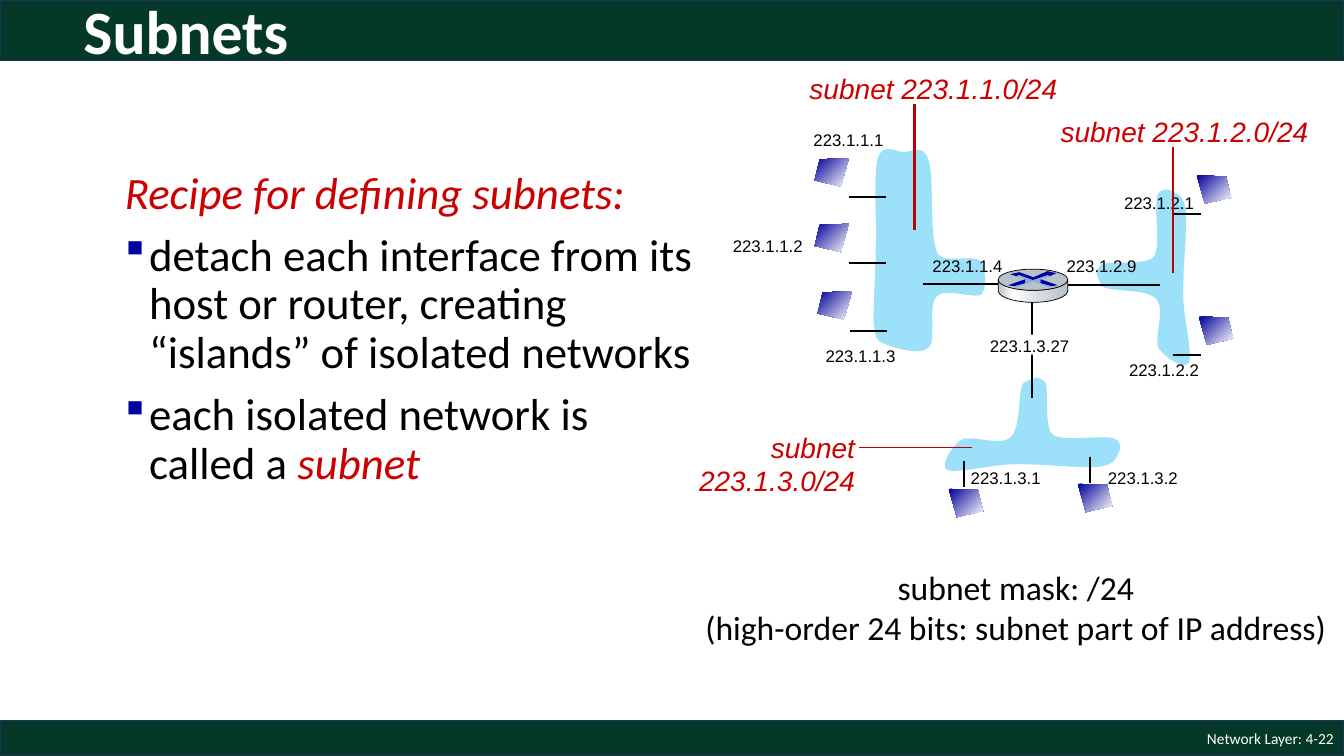
import pptx
import pptx.util
import pptx.dml.color
import pptx.enum.shapes
import pptx.enum.text
import pptx.oxml.ns
from lxml import etree

Inches, Pt = pptx.util.Inches, pptx.util.Pt
Align, Anchor = pptx.enum.text.PP_ALIGN, pptx.enum.text.MSO_ANCHOR
Shape = pptx.enum.shapes.MSO_SHAPE
qn = pptx.oxml.ns.qn

# Content
WIDTH, HEIGHT = 13.33, 7.5
COLORS = {"bar": "043927", "edge": "1E3256", "cloud": "9CE0FA", "red": "CC0000",
          "pointer": "C00000", "bullet": "0000A3", "host": "000099", "steel": "B8C2C9",
          "shine": "D6DCE0", "glyph": "8FAADC", "black": "000000", "white": "FFFFFF"}
TITLE = "Subnets"
FOOTER = "Network Layer: 4-22"
RECIPE = [  # bulleted, then runs as (text, emphasised)
    (False, [("Recipe for defining subnets:", True)]),
    (True, [("detach each interface from its host or router, creating "
             "“islands” of isolated networks", False)]),
    (True, [("each isolated network is called a ", False), ("subnet", True)]),
]
MASK_NOTE = ["subnet mask: /24", "(high-order 24 bits: subnet part of IP address)"]
ADDRESSES = [("223.1.1.1", 7.97, 1.24), ("223.1.1.2", 7.17, 2.29), ("223.1.1.3", 8.09, 3.38),
             ("223.1.1.4", 9.15, 2.49), ("223.1.2.9", 10.48, 2.49), ("223.1.2.2", 11.1, 3.52),
             ("223.1.2.1", 11.05, 1.86), ("223.1.3.2", 10.89, 4.59),
             ("223.1.3.1", 9.53, 4.59), ("223.1.3.27", 9.72, 3.28)]
SUBNETS = [  # lines, box, alignment, pointer, pointer width
    (["subnet", "223.1.3.0/24"], (6.82, 4.22, 1.76, 0.77), Align.RIGHT,
     (8.52, 4.44, 9.64, 4.44), 1.25),
    (["subnet 223.1.1.0/24"], (7.93, 0.66, 2.72, 0.44), Align.LEFT,
     (9.07, 1.03, 9.07, 2.28), 1.5),
    (["subnet 223.1.2.0/24"], (10.42, 1.09, 2.72, 0.44), Align.LEFT,
     (11.63, 1.46, 11.63, 2.71), 1.5),
]
LINKS = [(10.24, 2.99, 10.24, 3.95), (9.15, 2.82, 10.02, 2.82), (10.44, 2.83, 11.51, 2.83),
         (8.42, 1.95, 8.79, 1.95), (8.42, 2.61, 8.79, 2.61), (8.43, 3.28, 8.8, 3.28),
         (11.62, 2.12, 11.91, 2.12), (11.63, 3.52, 11.91, 3.52),
         (9.56, 4.57, 9.56, 4.83), (10.81, 4.53, 10.81, 4.79)]
PLATES = [(7.27, 2.37, 0.91, 0.2), (9.78, 3.32, 0.93, 0.2)]  # white, behind addresses

# Outlines: a step of two numbers is a corner, a step of six is a Bézier curve
LEFT_CLOUD = [
    (9.76, 2.66), (9.74, 2.47, 9.39, 2.64, 9.3, 2.52), (9.21, 2.34, 9.27, 1.76, 9.21, 1.59),
    (9.16, 1.42, 9.04, 1.51, 8.96, 1.51), (8.88, 1.5, 8.76, 1.42, 8.71, 1.56),
    (8.66, 1.69, 8.69, 2.13, 8.69, 2.31), (8.68, 2.49, 8.69, 2.54, 8.68, 2.65),
    (8.68, 2.76, 8.67, 2.86, 8.67, 2.96), (8.67, 3.06, 8.65, 3.17, 8.67, 3.24),
    (8.68, 3.32, 8.68, 3.38, 8.77, 3.41), (8.86, 3.45, 9.12, 3.53, 9.21, 3.45),
    (9.29, 3.38, 9.2, 3.03, 9.29, 2.94), (9.38, 2.85, 9.66, 2.97, 9.74, 2.92),
    (9.77, 2.84, 9.78, 2.85, 9.76, 2.66)]
RIGHT_CLOUD = [
    (10.93, 2.84), (11.02, 2.9, 11.36, 2.86, 11.46, 2.96), (11.57, 3.06, 11.44, 3.34, 11.49, 3.45),
    (11.55, 3.55, 11.75, 3.67, 11.79, 3.6), (11.83, 3.53, 11.75, 3.17, 11.74, 3.02),
    (11.73, 2.87, 11.74, 2.79, 11.74, 2.68), (11.75, 2.57, 11.75, 2.47, 11.76, 2.37),
    (11.76, 2.27, 11.77, 2.16, 11.76, 2.09), (11.75, 2.01, 11.72, 1.94, 11.67, 1.92),
    (11.63, 1.89, 11.52, 1.84, 11.48, 1.94), (11.44, 2.05, 11.52, 2.46, 11.44, 2.55),
    (11.37, 2.64, 10.98, 2.58, 10.91, 2.63), (10.87, 2.71, 10.85, 2.68, 10.93, 2.84)]
RIGHT_CENTER, BOTTOM_CENTER = (11.33, 2.75), (10.24, 4.2)
HOST = [(0, 0), (0.29, 0.01), (0.34, 0.22), (0.08, 0.28)]
HOST_WIDTH = 0.34
HOSTS = [(8.08, 1.57, True), (8.08, 2.22, True), (8.11, 2.89, True),  # left, top, mirrored
         (11.87, 1.74, False), (11.89, 3.14, False), (10.69, 4.8, False), (9.41, 4.85, False)]
ROUTER_SIDE = [
    (10.59, 2.78), (10.59, 2.89), (10.57, 2.97, 10.37, 3, 10.25, 3),
    (10.13, 3, 9.92, 2.97, 9.9, 2.89), (9.9, 2.78), (9.93, 2.85, 10.13, 2.88, 10.25, 2.88),
    (10.36, 2.88, 10.56, 2.86, 10.59, 2.78)]
ROUTER_TOP = (9.9, 2.67, 0.69, 0.21)
ROUTER_MARKS = [
    ("bullet", [(10.39, 2.69), (10.48, 2.71), (10.41, 2.74), (10.39, 2.73), (10.24, 2.78),
                (10.11, 2.73), (10.08, 2.74), (10.02, 2.72), (10.11, 2.7), (10.25, 2.75)]),
    ("bullet", [(10.32, 2.77), (10.49, 2.83), (10.43, 2.84), (10.32, 2.81)]),
    ("bullet", [(10.17, 2.77), (10.17, 2.81), (10.06, 2.84), (10, 2.83)]),
    ("glyph", [(10.08, 2.74), (10.11, 2.73), (10.25, 2.78), (10.39, 2.73), (10.42, 2.74),
               (10.32, 2.77), (10.32, 2.81), (10.43, 2.84), (10.4, 2.85), (10.25, 2.79),
               (10.09, 2.85), (10.06, 2.84), (10.17, 2.81), (10.17, 2.77)])]

deck = pptx.Presentation()
deck.slide_width, deck.slide_height = Inches(WIDTH), Inches(HEIGHT)
page = deck.slides.add_slide(deck.slide_layouts[6])


def color(name):
    return pptx.dml.color.RGBColor.from_string(COLORS[name])


def paint(shape, fill, edge=None, width=1):
    shape.shadow.inherit = False
    if fill:
        shape.fill.solid()
        shape.fill.fore_color.rgb = color(fill)
    if edge:
        shape.line.color.rgb = color(edge)
        shape.line.width = Pt(width)
    else:
        shape.line.fill.background()


def add_preset(kind, place, *style):
    paint(page.shapes.add_shape(kind, *map(Inches, place)), *style)


def shade(shape, stops, angle):
    shape.fill.gradient()
    shape.fill.gradient_angle = angle
    stop_list = shape._element.spPr.find(".//" + qn("a:gsLst"))
    for old in list(stop_list):
        stop_list.remove(old)
    for percent, name in stops:
        stop = etree.SubElement(stop_list, qn("a:gs"), pos=str(percent * 1000))
        etree.SubElement(stop, qn("a:srgbClr"), val=COLORS[name])


def pairs(step):
    return list(zip(step[::2], step[1::2]))


def add_outline(steps, *style):
    grid = [[(round(x * 1000), round(y * 1000)) for x, y in pairs(step)] for step in steps]
    ends = [points[-1] for points in grid]
    builder = page.shapes.build_freeform(*ends[0], scale=Inches(1) / 1000)
    builder.add_line_segments(ends[1:], close=True)
    shape = builder.convert_to_shape()
    left, top = (min(values) for values in zip(*ends))
    segments = shape._element.spPr.findall(".//" + qn("a:lnTo"))
    for segment, points in zip(segments, grid[1:]):
        if len(points) == 3:  # turn the straight segment into a curve
            curve = etree.Element(qn("a:cubicBezTo"))
            for x, y in points:
                etree.SubElement(curve, qn("a:pt"), x=str(x - left), y=str(y - top))
            segment.getparent().replace(segment, curve)
    paint(shape, *style)
    return shape


def add_line(ends, name, width=1.5):
    line = page.shapes.add_connector(pptx.enum.shapes.MSO_CONNECTOR.STRAIGHT, *map(Inches, ends))
    line.line.color.rgb = color(name)
    line.line.width = Pt(width)
    etree.SubElement(line._element.spPr, qn("a:effectLst"))


def set_font(font, face, size, name, bold=False, italic=False):
    font.name, font.size, font.bold, font.italic = face, Pt(size), bold, italic
    font.color.rgb = color(name)


def add_text(lines, place, *style, align=Align.LEFT, anchor=Anchor.TOP, wrap=False, **looks):
    frame = page.shapes.add_textbox(*map(Inches, place)).text_frame
    frame.word_wrap, frame.vertical_anchor = wrap, anchor
    for index, line in enumerate(lines):
        para = frame.add_paragraph() if index else frame.paragraphs[0]
        para.text, para.alignment = line, align
        set_font(para.font, *style, **looks)


# Bars, title and footer
for top, height in ((HEIGHT - 0.35, 0.35), (0, 0.6)):
    add_preset(Shape.RECTANGLE, (0, top, WIDTH, height), "bar", "edge")
add_text([FOOTER], (WIDTH - 3, HEIGHT - 0.35, 3, 0.35), "Calibri", 11, "white",
         align=Align.RIGHT, anchor=Anchor.MIDDLE)
add_text([TITLE], (0.73, -0.19, 11.5, 0.98), "Calibri", 44, "white",
         anchor=Anchor.MIDDLE, wrap=True, bold=True)

# Recipe
recipe = page.shapes.add_textbox(*map(Inches, (0.99, 1.64, 6.03, 5.45))).text_frame
recipe.word_wrap = True
for index, (bulleted, spans) in enumerate(RECIPE):
    para = recipe.add_paragraph() if index else recipe.paragraphs[0]
    para.line_spacing = 0.9
    if index:
        para.space_before = Pt(10)
    layout = para._p.get_or_add_pPr()
    layout.set("marL", str(Inches(0.39)))
    layout.set("indent", str(Inches(-0.24)))
    if bulleted:
        tint = etree.SubElement(layout, qn("a:buClr"))
        etree.SubElement(tint, qn("a:srgbClr"), val=COLORS["bullet"])
        etree.SubElement(layout, qn("a:buFont"), typeface="Wingdings", charset="2")
        etree.SubElement(layout, qn("a:buChar"), char="§")  # small square in Wingdings
    for words, emphasised in spans:
        span = para.add_run()
        span.text = words
        set_font(span.font, "Calibri", 32, "red" if emphasised else "black", italic=emphasised)

# Clouds: the bottom one is the right one after a quarter turn
bottom_cloud = [
    [value for x, y in pairs(step)
     for value in (BOTTOM_CENTER[0] - y + RIGHT_CENTER[1], BOTTOM_CENTER[1] + x - RIGHT_CENTER[0])]
    for step in RIGHT_CLOUD]
for steps in (bottom_cloud, RIGHT_CLOUD, LEFT_CLOUD):
    add_outline(steps, "cloud")

# Links and addresses
for ends in LINKS:
    add_line(ends, "black")
for place in PLATES:
    add_preset(Shape.RECTANGLE, place, "white")
for address, left, top in ADDRESSES:
    add_text([address], (left, top, 0.1 * len(address), 0.3), "Arial", 12, "black")

# Hosts
for left, top, mirrored in HOSTS:
    corners = [(left + (HOST_WIDTH - x if mirrored else x), top + y) for x, y in HOST]
    shade(add_outline(corners, None), [(0, "host"), (100, "white")], 315)

# Router
side = add_outline(ROUTER_SIDE, None, "black", 0.5)
shade(side, [(0, "steel"), (21, "white"), (60, "shine"), (100, "steel")], 0)
add_preset(Shape.OVAL, ROUTER_TOP, "steel", "black", 0.5)
for name, corners in ROUTER_MARKS:
    add_outline(corners, name)

# Subnet mask and subnet names
add_text(MASK_NOTE, (6.87, 5.57, 6.41, 0.91), "Calibri", 24, "black", align=Align.CENTER)
for lines, place, align, pointer, width in SUBNETS:
    add_text(lines, place, "Arial", 20, "red", align=align, italic=True)
    add_line(pointer, "pointer", width)

deck.save("out.pptx")
